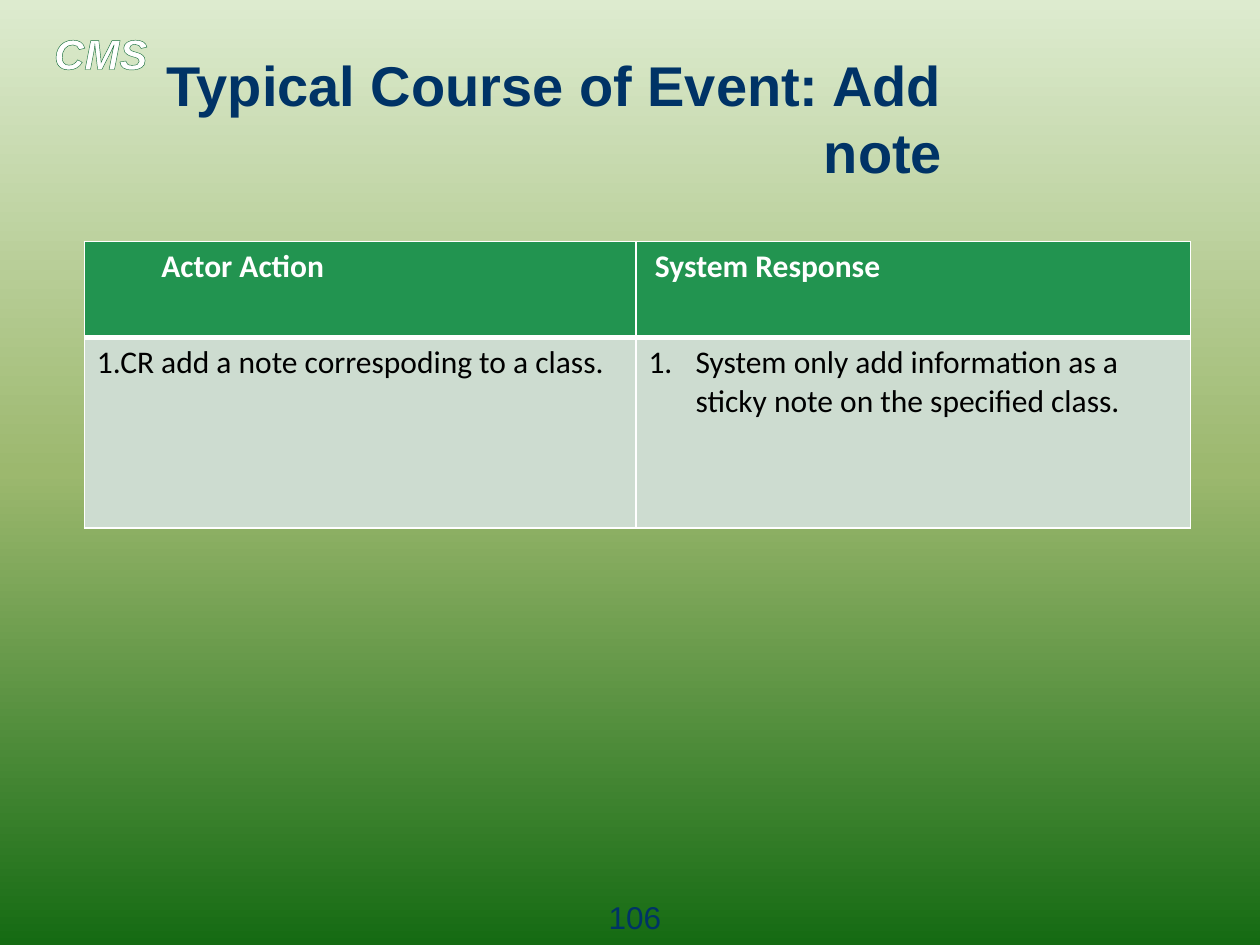
from copy import deepcopy

from lxml.etree import SubElement
from pptx import Presentation
from pptx.dml.color import RGBColor
from pptx.enum.text import MSO_ANCHOR, MSO_AUTO_SIZE, PP_ALIGN
from pptx.oxml.ns import qn
from pptx.util import Cm, Pt

COLORS = {
    "navy": "003366",
    "white": "FFFFFF",
    "black": "000000",
    "outline": "196F3C",
    "header": "229450",
    "body": "CDDCD0",
    "sky": "DDEBCF",
    "meadow": "9CB86E",
    "forest": "156B13",
}


def write(frame, text, size=18, font="Arial", color="navy", bold=False,
          italic=False, align=PP_ALIGN.LEFT, left=0, hanging=0):
    frame.word_wrap = True
    paragraph = frame.paragraphs[0]
    paragraph.alignment = align
    if left:
        properties = paragraph._p.get_or_add_pPr()
        properties.set("marL", str(Cm(left)))
        properties.set("indent", str(-Cm(hanging)))
    run = paragraph.add_run()
    run.text = text
    run.font.size = Pt(size)
    run.font.name = font
    run.font.bold = bold
    run.font.italic = italic
    run.font.color.rgb = RGBColor.from_string(COLORS[color])
    return run


def add_line(parent, tag, color, width):
    line = SubElement(parent, qn(tag), w=str(Pt(width)))
    fill = SubElement(line, qn("a:solidFill"))
    SubElement(fill, qn("a:srgbClr"), val=COLORS[color])
    return line


deck = Presentation()
deck.slide_width = Cm(25.4)
deck.slide_height = Cm(19.05)
slide = deck.slides.add_slide(deck.slide_layouts[5])

backdrop = slide.background.fill
backdrop.gradient()
backdrop.gradient_angle = 270
first_stop = backdrop.gradient_stops[0]._gs
first_stop.addnext(deepcopy(first_stop))
for stop, color, position in zip(backdrop.gradient_stops,
                                 ("sky", "meadow", "forest"), (0, 0.5, 1)):
    stop.color.rgb = RGBColor.from_string(COLORS[color])
    stop.position = position

course_label = slide.shapes.add_textbox(Cm(0.84), Cm(0.43), Cm(3.81), Cm(1.27))
label_run = write(course_label.text_frame, "CMS", size=24, color="white",
                  bold=True, italic=True)
label_properties = label_run.font._element
label_properties.insert(0, add_line(label_properties, "a:ln", "outline", 1))

heading = slide.shapes.title
heading.left, heading.top = Cm(1.47), Cm(1.7)
heading.width, heading.height = Cm(17.78), Cm(1.35)
heading.text_frame.auto_size = MSO_AUTO_SIZE.NONE
heading.text_frame.vertical_anchor = MSO_ANCHOR.MIDDLE
write(heading.text_frame, "Typical Course of Event: Add note", size=32,
      bold=True, align=PP_ALIGN.RIGHT)

page_number = slide.shapes.add_textbox(Cm(11.63), Cm(17.98), Cm(2.34), Cm(0.74))
write(page_number.text_frame, "106", align=PP_ALIGN.CENTER)

events = slide.shapes.add_table(2, 2, Cm(1.7), Cm(4.87), Cm(22.3), Cm(5.77)).table
for column, width in zip(events.columns, (11.12, 11.18)):
    column.width = Cm(width)
for row, height in zip(events.rows, (1.93, 3.84)):
    row.height = Cm(height)

header_format = {"color": "white", "bold": True}
body_format = {"color": "black"}
entries = [
    [("Actor Action", {**header_format, "left": 1.3}),
     ("System Response", {**header_format, "left": 0.13})],
    [("1.CR add a note correspoding to a class.", body_format),
     ("System only add information as a sticky note on the specified class.",
      {**body_format, "left": 0.95, "hanging": 0.95})],
]
row_styles = [
    ("header", {"a:lnL": 1, "a:lnR": 1, "a:lnT": 1, "a:lnB": 3}),
    ("body", {"a:lnL": 1, "a:lnR": 1, "a:lnT": 3, "a:lnB": 1}),
]
for row_index, (fill_color, borders) in enumerate(row_styles):
    for column_index, (text, text_format) in enumerate(entries[row_index]):
        cell = events.cell(row_index, column_index)
        write(cell.text_frame, text, font="Calibri", **text_format)
        cell_properties = cell._tc.get_or_add_tcPr()
        for edge, width in borders.items():
            add_line(cell_properties, edge, "white", width)
        cell.fill.solid()
        cell.fill.fore_color.rgb = RGBColor.from_string(COLORS[fill_color])

response = events.cell(1, 1).text_frame.paragraphs[0]
SubElement(response._p.get_or_add_pPr(), qn("a:buAutoNum"), type="arabicPeriod")

deck.save("out.pptx")
